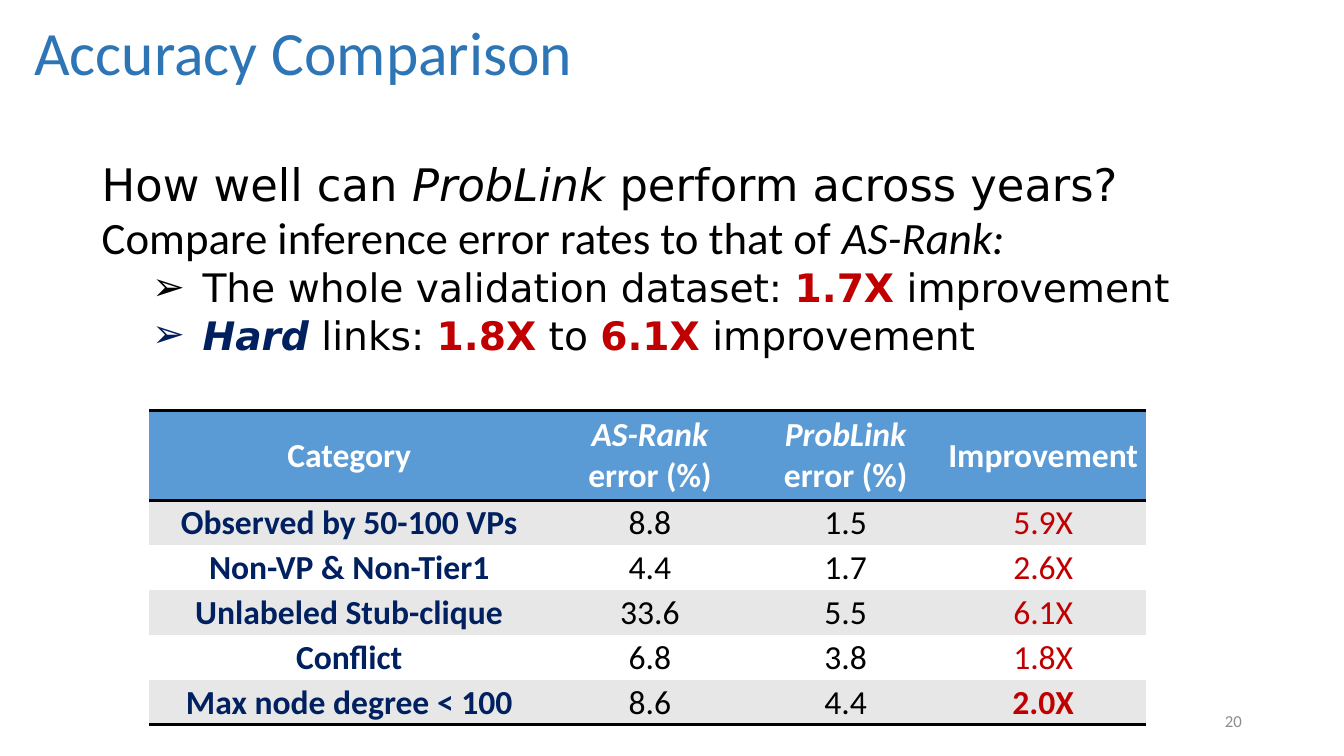
from lxml import etree
from pptx import Presentation
from pptx.dml.color import RGBColor
from pptx.enum.text import MSO_ANCHOR, MSO_AUTO_SIZE, PP_ALIGN
from pptx.oxml.ns import qn
from pptx.util import Cm, Pt

LEFT, MID, RIGHT = PP_ALIGN.LEFT, PP_ALIGN.CENTER, PP_ALIGN.RIGHT
CENTER, BOTTOM, TOP = MSO_ANCHOR.MIDDLE, MSO_ANCHOR.BOTTOM, MSO_ANCHOR.TOP
FIXED = MSO_AUTO_SIZE.NONE

HUES = {"title": "2E75B6", "head": "5B9BD5", "band": "E7E7E7", "white": "FFFFFF",
        "black": "000000", "red": "C00000", "navy": "002060", "gray": "8C8C8C"}
SANS, WIDE = "Calibri", "DejaVu Sans"
PLAIN, ITAL = {}, {"italic": True}
RED = {"bold": True, "hue": "red"}
HARD = {"bold": True, "italic": True, "hue": "navy"}

TITLE = "Accuracy Comparison"
PAGE = "20"
POINTS = [
    (32, WIDE, False, [("How well can ", PLAIN), ("ProbLink", ITAL),
                       (" perform across years?", PLAIN)]),
    (32, SANS, False, [("Compare inference error rates to that of ", PLAIN),
                       ("AS-Rank:", ITAL)]),
    (28, WIDE, True, [("The whole validation dataset: ", PLAIN), ("1.7X", RED),
                      (" improvement", PLAIN)]),
    (28, WIDE, True, [("Hard", HARD), (" links: ", PLAIN), ("1.8X", RED),
                      (" to ", PLAIN), ("6.1X", RED), (" improvement", PLAIN)]),
]
HEADS = [["Category"], ["AS-Rank", "error (%)"], ["ProbLink", "error (%)"], ["Improvement"]]
ROWS = [
    ("Observed by 50-100 VPs", "8.8", "1.5", "5.9X"),
    ("Non-VP & Non-Tier1", "4.4", "1.7", "2.6X"),
    ("Unlabeled Stub-clique", "33.6", "5.5", "6.1X"),
    ("Conflict", "6.8", "3.8", "1.8X"),
    ("Max node degree < 100", "8.6", "4.4", "2.0X"),
]
WIDTHS = [10.08, 5.08, 4.78, 5.18]
HEAD_H, ROW_H = 2.27, 1.13
NO_STYLE = "{2D5ABB26-0587-4C30-8999-92F81FD0307C}"


def write(para, text, size=24, font=SANS, hue="black", bold=False, italic=False, align=LEFT):
    para.alignment = align
    run = para.add_run()
    run.text = text
    face = run.font
    face.size, face.name, face.bold, face.italic = Pt(size), font, bold, italic
    face.color.rgb = RGBColor.from_string(HUES[hue])


def place(shape, left, top, width, height, anchor):
    shape.left, shape.top = Cm(left), Cm(top)
    shape.width, shape.height = Cm(width), Cm(height)
    frame = shape.text_frame
    frame.word_wrap, frame.auto_size = True, FIXED
    frame.vertical_anchor = anchor
    return frame


def bullet(para, mark):
    props = para._p.get_or_add_pPr()
    props.set("marL", str(Cm(2.54) if mark else 0))
    props.set("indent", str(-Cm(1.27) if mark else 0))
    if mark:
        etree.SubElement(props, qn("a:buChar"), char="➢")
    else:
        etree.SubElement(props, qn("a:buNone"))


def rule(cell, sides):
    props = cell._tc.get_or_add_tcPr()
    for spot, side in enumerate(sides):
        line = etree.Element(qn("a:ln" + side), w=str(Pt(2)))
        fill = etree.SubElement(line, qn("a:solidFill"))
        etree.SubElement(fill, qn("a:srgbClr"), val=HUES["black"])
        props.insert(spot, line)


def paint(cell, hue):
    cell.fill.solid()
    cell.fill.fore_color.rgb = RGBColor.from_string(HUES[hue])
    cell.vertical_anchor = CENTER
    cell.margin_left = cell.margin_right = cell.margin_top = Cm(0.03)
    cell.margin_bottom = 0


def add_points(shape):
    frame = place(shape, 2.31, 3.81, 29.49, 5.38, TOP)
    for num, (size, font, mark, runs) in enumerate(POINTS):
        para = frame.add_paragraph() if num else frame.paragraphs[0]
        para.space_before = para.space_after = Pt(0)
        para.line_spacing = 1.0
        bullet(para, mark)
        for text, style in runs:
            write(para, text, size=size, font=font, **style)


def add_grid(slide):
    table = slide.shapes.add_table(
        len(ROWS) + 1, len(HEADS), Cm(3.76), Cm(10.34),
        Cm(sum(WIDTHS)), Cm(HEAD_H + ROW_H * len(ROWS))).table
    table._tbl.tblPr.find(qn("a:tableStyleId")).text = NO_STYLE
    table.first_row = table.horz_banding = False
    for col, width in enumerate(WIDTHS):
        table.columns[col].width = Cm(width)
    for row in range(len(ROWS) + 1):
        table.rows[row].height = Cm(ROW_H if row else HEAD_H)

    for col, lines in enumerate(HEADS):
        cell = table.cell(0, col)
        paint(cell, "head")
        rule(cell, "TB")
        for num, text in enumerate(lines):
            frame = cell.text_frame
            para = frame.add_paragraph() if num else frame.paragraphs[0]
            write(para, text, hue="white", bold=True, align=MID,
                  italic=len(lines) > 1 and num == 0)

    hues = ["navy", "black", "black", "red"]
    for row, texts in enumerate(ROWS, 1):
        last = row == len(ROWS)
        for col, text in enumerate(texts):
            cell = table.cell(row, col)
            paint(cell, "band" if row % 2 else "white")
            if last:
                rule(cell, "B")
            write(cell.text_frame.paragraphs[0], text, hue=hues[col], align=MID,
                  bold=col == 0 or (last and col == 3))


def main():
    deck = Presentation()
    deck.slide_width, deck.slide_height = Cm(33.87), Cm(19.05)
    slide = deck.slides.add_slide(deck.slide_layouts[1])
    title, body = slide.placeholders
    para = place(title, 0.61, 0, 35.86, 2.36, BOTTOM).paragraphs[0]
    para.line_spacing = 0.9
    write(para, TITLE, size=44, hue="title")
    add_points(body)
    add_grid(slide)
    page = slide.shapes.add_textbox(0, 0, 0, 0)
    frame = place(page, 23.93, 17.65, 7.62, 1.02, CENTER)
    write(frame.paragraphs[0], PAGE, size=12, hue="gray", align=RIGHT)
    deck.save("out.pptx")


if __name__ == "__main__":
    main()
